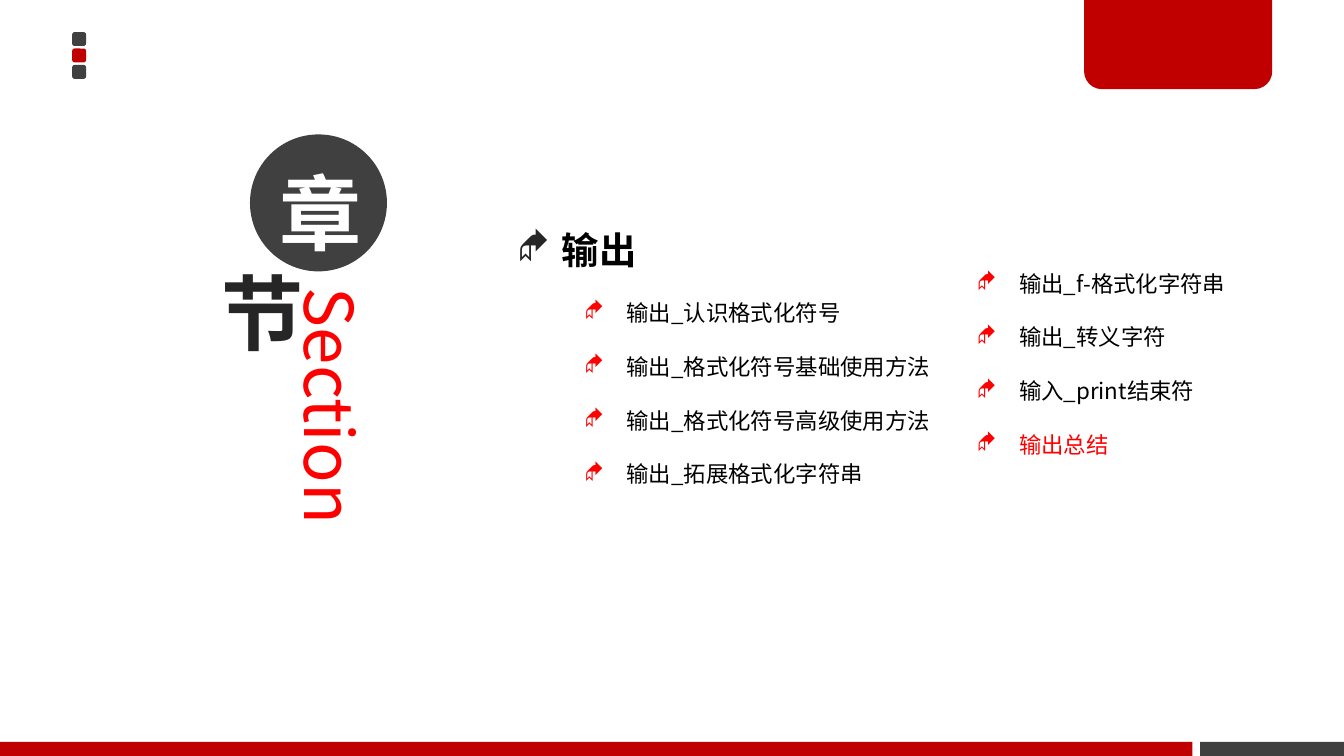
"""Build the chapter section slide on output formatting."""
from lxml.etree import SubElement
from pptx import Presentation
from pptx.dml.color import RGBColor
from pptx.enum.shapes import MSO_SHAPE
from pptx.enum.text import MSO_ANCHOR, PP_ALIGN
from pptx.oxml.ns import qn
from pptx.util import Pt

FONT = "Noto Sans CJK SC"
COLORS = {"crimson": "C00000", "charcoal": "404040", "ink": "262626",
          "red": "FF0000", "black": "000000", "white": "FFFFFF"}


def add_block(kind, left, top, width, height, color=None):
    block = page.shapes.add_shape(kind, Pt(left), Pt(top), Pt(width), Pt(height))
    block.shadow.inherit = False
    block.line.fill.background()
    if color:
        block.fill.solid()
        block.fill.fore_color.rgb = RGBColor.from_string(COLORS[color])
    else:
        block.fill.background()
    return block


def write(para, text, size, color, bold=False):
    para.text = text
    for span in para.runs:
        span.font.name = FONT
        span.font.size = Pt(size)
        span.font.bold = bold
        span.font.color.rgb = RGBColor.from_string(COLORS[color])
        SubElement(span.font._element, qn("a:ea"), typeface=FONT)


deck = Presentation()
deck.slide_width, deck.slide_height = Pt(720), Pt(405)
page = deck.slides.add_slide(deck.slide_layouts[6])

for index, color in enumerate(["charcoal", "crimson", "charcoal"]):
    add_block(MSO_SHAPE.ROUNDED_RECTANGLE, 38.7, 17.2 + 8.8 * index, 7.4, 7.4, color)

add_block(MSO_SHAPE.RECTANGLE, 643, 397.5, 77, 7.5, "charcoal")
add_block(MSO_SHAPE.RECTANGLE, 0, 397.5, 638.8, 7.5, "crimson")
tab = add_block(MSO_SHAPE.ROUND_2_SAME_RECTANGLE, 580.8, 0, 100.8, 47.8, "crimson")
tab.adjustments[0], tab.adjustments[1] = 0, 0.2

section = page.shapes.add_textbox(Pt(154), Pt(151.2), Pt(50.4), Pt(208))
section.text_frame.word_wrap = True
section.text_frame._txBody.bodyPr.set("vert", "vert")
section.text_frame.margin_left = section.text_frame.margin_right = Pt(5)
section.text_frame.margin_top = section.text_frame.margin_bottom = Pt(3)
write(section.text_frame.paragraphs[0], "Section", 36, "red")

for text, left, top, size, fill, color, bottom, spacing in [
    ("章", 133.9, 72, 73.4, "charcoal", "white", 10.8, Pt(70)),
    ("节", 105.1, 138.2, 57.6, None, "ink", 3, None),
]:
    circle = add_block(MSO_SHAPE.OVAL, left, top, size, size, fill)
    frame = circle.text_frame
    frame.vertical_anchor = MSO_ANCHOR.MIDDLE
    frame.margin_left = frame.margin_right = Pt(5)
    frame.margin_top, frame.margin_bottom = Pt(3), Pt(bottom)
    para = frame.paragraphs[0]
    para.alignment = PP_ALIGN.CENTER
    para.line_spacing = spacing
    write(para, text, 44, color, True)

columns = [
    (270, 94.3, 340, 230.4, ["输出", "输出_认识格式化符号", "输出_格式化符号基础使用方法",
                             "输出_格式化符号高级使用方法", "输出_拓展格式化字符串"]),
    (480.3, 126.6, 239, 130, ["输出_f-格式化字符串", "输出_转义字符",
                              "输入_print结束符", "输出总结"]),
]
for left, top, width, height, topics in columns:
    box = page.shapes.add_textbox(Pt(left), Pt(top), Pt(width), Pt(height))
    box.text_frame.word_wrap = True
    for index, topic in enumerate(topics):
        para = box.text_frame.paragraphs[0] if index == 0 else box.text_frame.add_paragraph()
        heading = topic == "输出"
        indent, hanging = (24, 24) if heading else (58.5, 22.5)
        para.level = 0 if heading else 1
        para.line_spacing = 2.0
        properties = para._p.get_or_add_pPr()
        properties.set("marL", str(Pt(indent)))
        properties.set("indent", str(Pt(-hanging)))
        bullet_color = SubElement(properties, qn("a:buClr"))
        SubElement(bullet_color, qn("a:srgbClr"), val=COLORS["ink" if heading else "red"])
        SubElement(properties, qn("a:buFont"), typeface="Wingdings")
        SubElement(properties, qn("a:buChar"), char="◆")
        color = "red" if topic == "输出总结" else "black"
        write(para, topic, 20 if heading else 12, color, heading)

deck.save("out.pptx")
